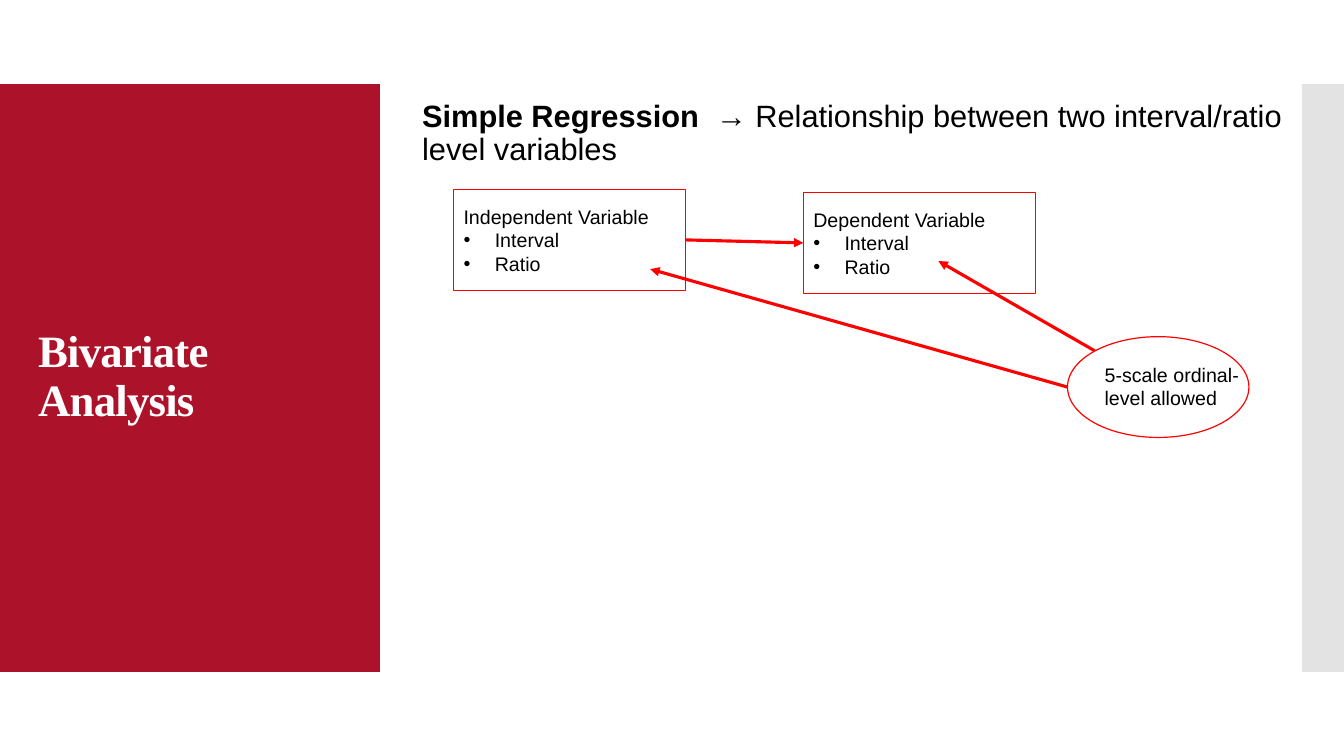
from dataclasses import dataclass

from lxml import etree
from pptx import Presentation
from pptx import util as u
from pptx.dml.color import RGBColor
from pptx.enum import shapes, text
from pptx.oxml.ns import qn

COLUMNS, ROWS = 160, 90
SLIDE_WIDTH, SLIDE_HEIGHT = u.Inches(13.33), u.Inches(7.5)


@dataclass(frozen=True)
class Theme:
    crimson: str = "AC122A"
    grey: str = "C8C8C8"
    red: str = "FF0000"
    black: str = "000000"
    white: str = "FFFFFF"
    body_font: str = "Arial"
    title_font: str = "Times New Roman"
    title_size: float = 32
    heading_size: float = 22
    label_size: float = 14
    outline: float = 0.85
    arrow: float = 2.25


@dataclass(frozen=True)
class Area:
    """Left, top, width and height in grid columns and rows."""
    left: float
    top: float
    width: float
    height: float


@dataclass(frozen=True)
class Variable:
    name: str
    area: Area


@dataclass(frozen=True)
class Arrow:
    start: tuple[float, float]
    end: tuple[float, float]


THEME = Theme()
LEVELS = ("Interval", "Ratio")
VARIABLES = (
    Variable("Independent Variable", Area(54, 22.56, 27.6, 12)),
    Variable("Dependent Variable", Area(95.64, 22.92, 27.6, 12)),
)
NOTE_ARROWS = (
    Arrow((130.32, 41.76), (111.72, 31.08)),
    Arrow((127.08, 46.08), (77.4, 32.04)),
)


def across(columns: float) -> int:
    return round(SLIDE_WIDTH * columns / COLUMNS)


def down(rows: float) -> int:
    return round(SLIDE_HEIGHT * rows / ROWS)


def bounds(area: Area) -> tuple[int, int, int, int]:
    return across(area.left), down(area.top), across(area.width), down(area.height)


def style_run(run, size: float, color: str = THEME.black,
              font: str = THEME.body_font, bold: bool = False) -> None:
    run.font.size = u.Pt(size)
    run.font.name = font
    run.font.bold = bold
    run.font.color.rgb = RGBColor.from_string(color)


def add_panel(slide, area: Area, color: str, opacity: int = 100) -> None:
    panel = slide.shapes.add_shape(shapes.MSO_SHAPE.RECTANGLE, *bounds(area))
    panel.shadow.inherit = False
    panel.line.fill.background()
    panel.fill.solid()
    panel.fill.fore_color.rgb = RGBColor.from_string(color)
    if opacity < 100:
        tint = panel.fill._xPr.find(".//" + qn("a:srgbClr"))
        etree.SubElement(tint, qn("a:alpha"), val=str(opacity * 1000))


def add_outline(slide, kind: shapes.MSO_SHAPE, area: Area):
    outline = slide.shapes.add_shape(kind, *bounds(area))
    outline.shadow.inherit = False
    outline.fill.background()
    outline.line.color.rgb = RGBColor.from_string(THEME.red)
    outline.line.width = u.Pt(THEME.outline)
    return outline


def add_text(slide, area: Area, anchor=text.MSO_ANCHOR.TOP):
    frame = slide.shapes.add_textbox(*bounds(area)).text_frame
    frame.word_wrap = True
    frame.vertical_anchor = anchor
    return frame


def add_variable(slide, variable: Variable):
    box = add_outline(slide, shapes.MSO_SHAPE.RECTANGLE, variable.area)
    frame = box.text_frame
    frame.vertical_anchor = text.MSO_ANCHOR.MIDDLE
    frame.text = "\n".join((variable.name, *LEVELS))
    for paragraph in frame.paragraphs:
        paragraph.alignment = text.PP_ALIGN.LEFT
        style_run(paragraph.runs[0], THEME.label_size)
    for level in frame.paragraphs[1:]:
        properties = level._p.get_or_add_pPr()
        indent = u.Inches(0.31)
        properties.set("marL", str(indent))
        properties.set("indent", str(-indent))
        etree.SubElement(properties, qn("a:buFont"), typeface=THEME.body_font)
        etree.SubElement(properties, qn("a:buChar"), char="•")
    return box


def add_arrow(slide, arrow: Arrow):
    line = slide.shapes.add_connector(
        shapes.MSO_CONNECTOR.STRAIGHT,
        across(arrow.start[0]), down(arrow.start[1]),
        across(arrow.end[0]), down(arrow.end[1]))
    line.line.color.rgb = RGBColor.from_string(THEME.red)
    line.line.width = u.Pt(THEME.arrow)
    etree.SubElement(line.line._get_or_add_ln(), qn("a:tailEnd"), type="triangle")
    etree.SubElement(line._element.spPr, qn("a:effectLst"))
    return line


def main() -> None:
    deck = Presentation()
    deck.slide_width, deck.slide_height = SLIDE_WIDTH, SLIDE_HEIGHT
    slide = deck.slides.add_slide(deck.slide_layouts[6])

    # Side panels
    add_panel(slide, Area(0, 10, 45.24, 70), THEME.crimson)
    add_panel(slide, Area(155, 10, 5, 70), THEME.grey, opacity=50)

    # Title
    title = add_text(slide, Area(3.36, 14.76, 38.64, 60.36), text.MSO_ANCHOR.MIDDLE)
    title.text = "Bivariate Analysis"
    title.paragraphs[0].line_spacing = 0.9
    title_run = title.paragraphs[0].runs[0]
    style_run(title_run, THEME.title_size, THEME.white, THEME.title_font, bold=True)
    title_run.font._element.set("spc", "-60")

    # Heading
    heading = add_text(slide, Area(49.08, 11.4, 108, 9)).paragraphs[0]
    heading.line_spacing = 0.9
    for wording, bold in (
        ("Simple Regression  ", True),
        ("→ Relationship between two interval/ratio level variables", False),
    ):
        run = heading.add_run()
        run.text = wording
        style_run(run, THEME.heading_size, bold=bold)

    # Variables and the relationship between them
    independent, dependent = [add_variable(slide, v) for v in VARIABLES]
    relationship = add_arrow(slide, Arrow((81.6, 28.56), (95.64, 28.92)))
    relationship.begin_connect(independent, 3)
    relationship.end_connect(dependent, 1)

    # Note on ordinal scales
    note = add_text(slide, Area(130.32, 42.6, 19.92, 6.84))
    note.text = "5-scale ordinal-level allowed"
    style_run(note.paragraphs[0].runs[0], THEME.label_size)
    add_outline(slide, shapes.MSO_SHAPE.OVAL, Area(127.08, 40.08, 21.6, 12))
    for arrow in NOTE_ARROWS:
        add_arrow(slide, arrow)

    deck.save("out.pptx")


if __name__ == "__main__":
    main()
